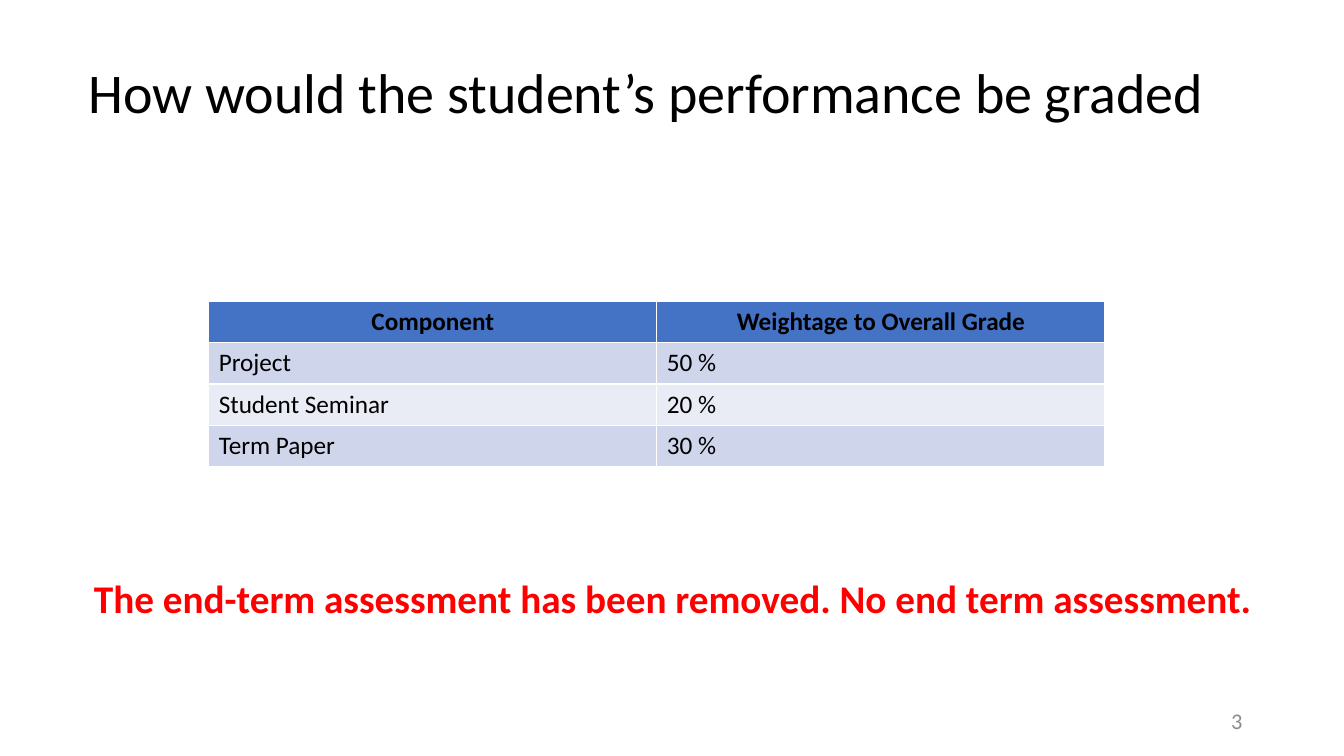
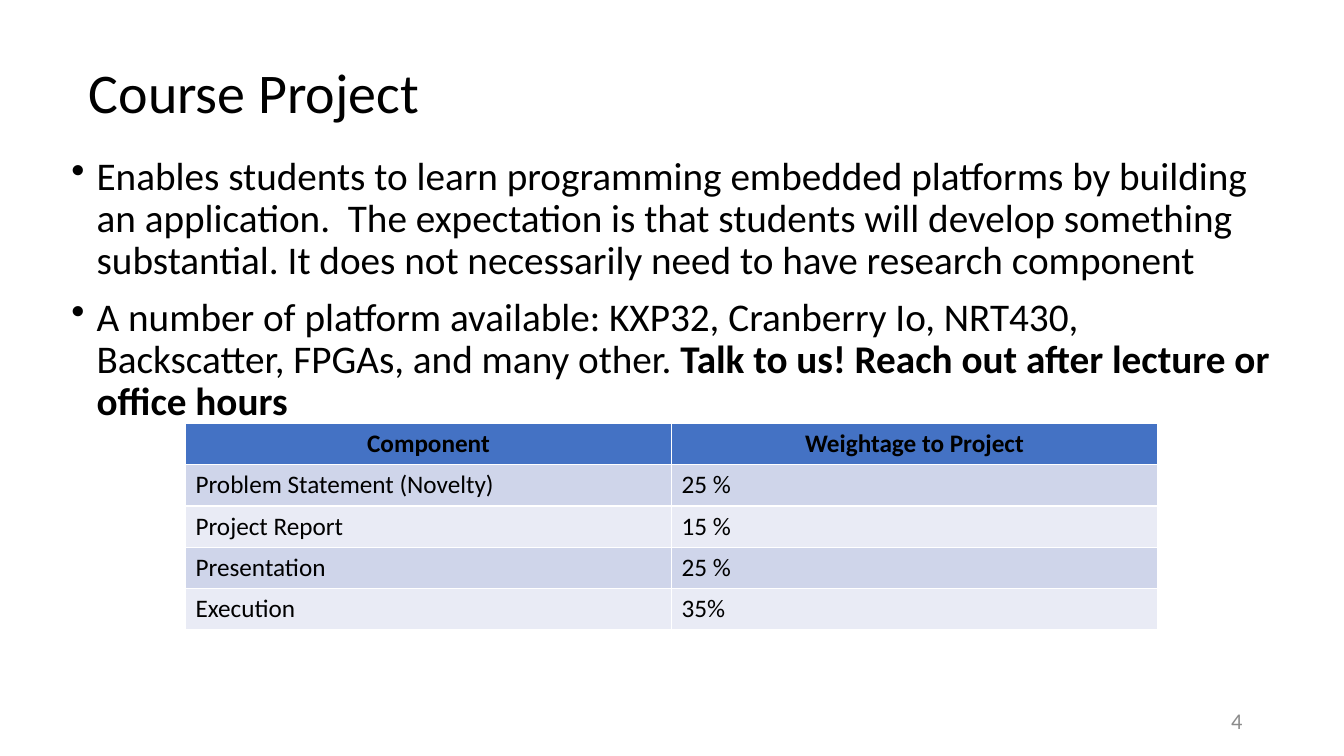
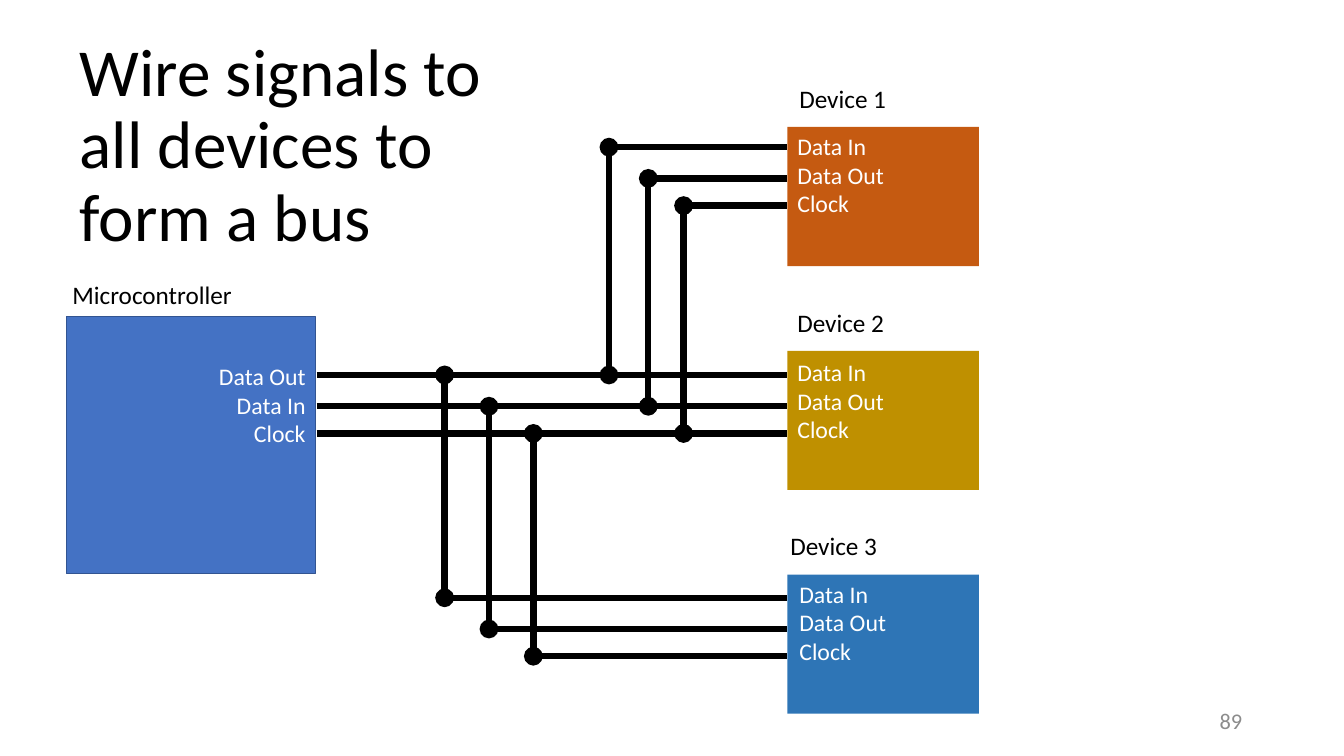
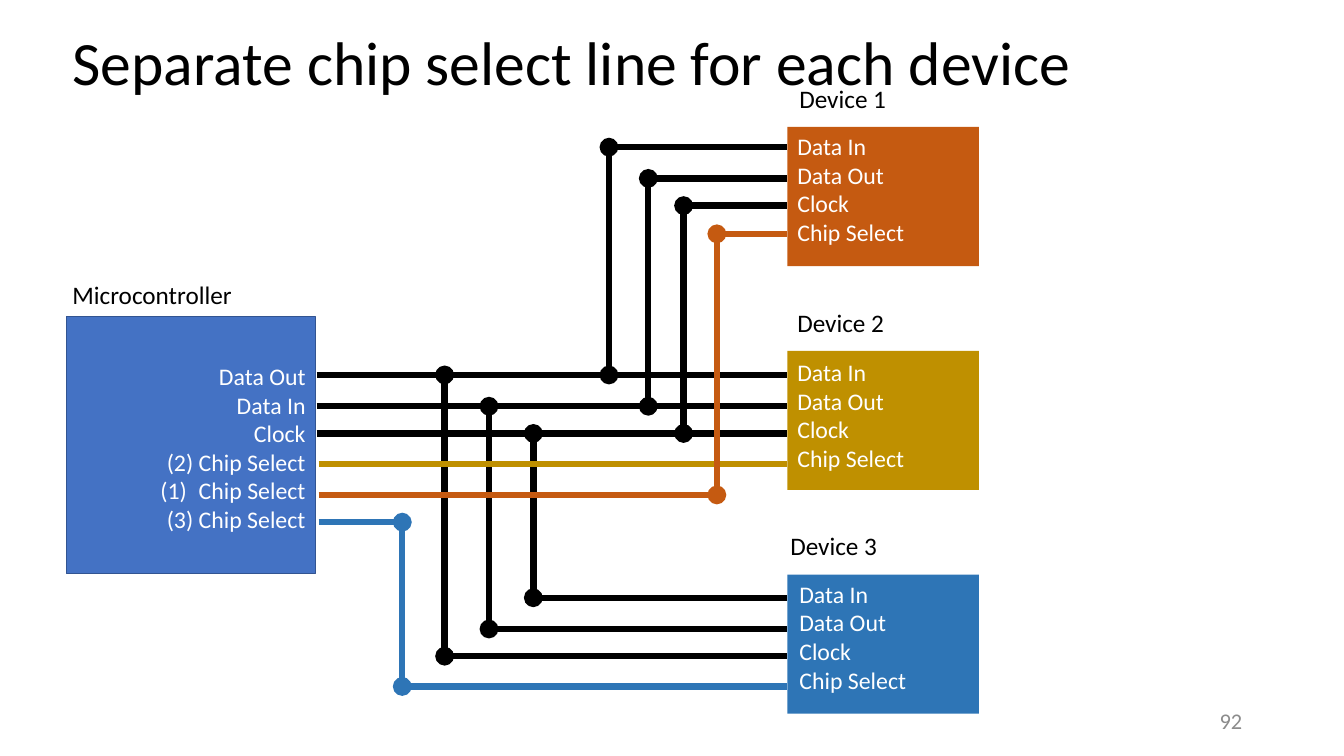
from lxml.etree import SubElement
from pptx import Presentation
from pptx.dml.color import RGBColor
from pptx.enum.shapes import MSO_CONNECTOR, MSO_SHAPE
from pptx.enum.text import MSO_ANCHOR, MSO_AUTO_SIZE, PP_ALIGN
from pptx.oxml.ns import qn
from pptx.util import Inches, Pt

FONT = "Calibri"
COLOURS = {
    "text": "000000", "page": "8C8C8C", "alert": "FF0000", "white": "FFFFFF",
    "blue": "4472C4", "edge": "325491", "band": "CFD5EA", "pale": "E9EBF5",
    "orange": "C55A11", "gold": "BF9000", "azure": "2E75B6",
}
TITLE_AREA = (0.78, 0.22, 11.78, 1.45)
BODY_LEFT, BODY_WIDTH = 0.61, 12.12
ROW_HEIGHT = 0.41

GRADING = [
    ("Component", "Weightage to Overall Grade"),
    ("Project", "50 %"),
    ("Student Seminar", "20 %"),
    ("Term Paper", "30 %"),
]
NOTICE = [("The end-term assessment has been removed. No end term assessment.", True)]
PROJECT = [
    ("Component", "Weightage to Project"),
    ("Problem Statement (Novelty)", "25 %"),
    ("Project Report", "15 %"),
    ("Presentation", "25 %"),
    ("Execution", "35%"),
]
PROJECT_POINTS = [
    [("Enables students to learn programming embedded platforms by building an application.  "
      "The expectation is that students will develop something substantial. "
      "It does not necessarily need to have research component", False)],
    [("A number of platform available: KXP32, Cranberry Io, NRT430, Backscatter, FPGAs, "
      "and many other. ", False),
     ("Talk to us! Reach out after lecture or office hours", True)],
]

CONTROLLER = (0.66, 3.14, 2.47, 2.55)
CONTROLLER_PINS = ["Data Out", "Data In", "Clock"]
DEVICE_PINS = ["Data In", "Data Out", "Clock"]
DEVICE_LEFT, DEVICE_WIDTH, DEVICE_HEIGHT = 7.81, 1.9, 1.38
DEVICES = [
    {"name": "Device 1", "fill": "orange", "top": 1.26, "label": (7.83, 0.78), "pins": (7.81, 1.26)},
    {"name": "Device 2", "fill": "gold", "top": 3.48, "label": (7.81, 3.0), "pins": (7.81, 3.5)},
    {"name": "Device 3", "fill": "azure", "top": 5.7, "label": (7.74, 5.21), "pins": (7.83, 5.7)},
]
BUS_LEFT = 3.14
BUS_ROWS = [3.72, 4.03, 4.3]
UP_COLUMNS = [6.04, 6.43, 6.78]
DOWN_COLUMNS = [4.41, 4.85, 5.29]
UP_ROWS = [row - 2.26 for row in BUS_ROWS]
DOWN_ROWS = [row + 2.21 for row in BUS_ROWS]
SELECT_LEFT = 3.16
SELECT_ROWS = [row + 0.88 for row in BUS_ROWS]
SELECT_RISERS = [
    ("orange", 7.11, SELECT_ROWS[1], 2.32),
    ("azure", 3.99, SELECT_ROWS[2], 6.81),
]


def colour(name):
    return RGBColor.from_string(COLOURS[name])


def add_span(para, text, size, tint="text", bold=False):
    span = para.add_run()
    span.text = text
    span.font.name = FONT
    span.font.size = Pt(size)
    span.font.bold = bold
    span.font.color.rgb = colour(tint)


def add_box(page, area, paragraphs, size, tint="text", align=PP_ALIGN.LEFT,
            anchor=MSO_ANCHOR.TOP, spacing=1.0, before=0):
    frame = page.shapes.add_textbox(*map(Inches, area)).text_frame
    frame.word_wrap = True
    frame.vertical_anchor = anchor
    for index, spans in enumerate(paragraphs):
        para = frame.add_paragraph() if index else frame.paragraphs[0]
        para.alignment = align
        para.line_spacing = spacing
        if index and before:
            para.space_before = Pt(before)
        for text, bold in spans:
            add_span(para, text, size, tint, bold)
    return frame


def plain(lines):
    return [[(line, False)] for line in lines]


def add_bullet(para, indent, kind, **settings):
    properties = para._p.get_or_add_pPr()
    properties.set("marL", str(Inches(indent)))
    properties.set("indent", str(-Inches(indent)))
    SubElement(properties, qn(f"a:{kind}"), settings)


def add_page(deck, title, number, area=TITLE_AREA, size=40):
    page = deck.slides.add_slide(deck.slide_layouts[5])
    heading = page.shapes.title
    heading.left, heading.top, heading.width, heading.height = map(Inches, area)
    frame = heading.text_frame
    frame.word_wrap = True
    frame.auto_size = MSO_AUTO_SIZE.NONE
    frame.vertical_anchor = MSO_ANCHOR.MIDDLE
    para = frame.paragraphs[0]
    para.alignment = PP_ALIGN.LEFT
    para.line_spacing = 0.9
    add_span(para, title, size)
    add_box(page, (9.42, 6.95, 3, 0.4), plain([number]), 16, "page",
            PP_ALIGN.RIGHT, MSO_ANCHOR.MIDDLE)
    return page


def add_weights(page, left, top, width, rows):
    columns = len(rows[0])
    table = page.shapes.add_table(len(rows), columns, Inches(left), Inches(top), Inches(width),
                                  Inches(ROW_HEIGHT * len(rows))).table
    for row, values in enumerate(rows):
        for column, value in enumerate(values):
            cell = table.cell(row, column)
            cell.fill.solid()
            cell.fill.fore_color.rgb = colour(("pale", "band")[row % 2] if row else "blue")
            para = cell.text_frame.paragraphs[0]
            para.alignment = PP_ALIGN.LEFT if row else PP_ALIGN.CENTER
            add_span(para, value, 18, bold=row == 0)


def add_block(page, area, fill, edge=None):
    block = page.shapes.add_shape(MSO_SHAPE.RECTANGLE, *map(Inches, area))
    block.shadow.inherit = False
    block.fill.solid()
    block.fill.fore_color.rgb = colour(fill)
    if edge:
        block.line.color.rgb = colour(edge)
        block.line.width = Pt(1)
    else:
        block.line.fill.background()


def add_wire(page, start, end, tint="text", dots=False):
    wire = page.shapes.add_connector(MSO_CONNECTOR.STRAIGHT, *map(Inches, start + end))
    wire.line.color.rgb = colour(tint)
    wire.line.width = Pt(4.5)
    if dots:
        for tip in ("headEnd", "tailEnd"):
            SubElement(wire.line._get_or_add_ln(), qn(f"a:{tip}"), type="oval")
    SubElement(wire._element.spPr, qn("a:effectLst"))


def add_riser(page, column, bus_row, pin_row, tint="text"):
    add_wire(page, (column, pin_row), (DEVICE_LEFT, pin_row), tint)
    add_wire(page, (column, bus_row), (column, pin_row), tint, dots=True)


def add_bus(page, down_rows, extra_pins=(), extra_select=()):
    add_block(page, CONTROLLER, "blue", "edge")
    for device in DEVICES:
        add_block(page, (DEVICE_LEFT, device["top"], DEVICE_WIDTH, DEVICE_HEIGHT), device["fill"])
        add_box(page, (*device["label"], DEVICE_WIDTH, 0.4), plain([device["name"]]), 18)
        add_box(page, (*device["pins"], DEVICE_WIDTH, 1.25),
                plain([*DEVICE_PINS, *extra_select]), 17, "white")
    add_box(page, (0.62, 2.72, 2.47, 0.4), plain(["Microcontroller"]), 18)
    pins = add_box(page, (0.86, 3.54, 2.27, 1.82), plain([*CONTROLLER_PINS, *extra_pins]),
                   17, "white", PP_ALIGN.RIGHT)
    for row in BUS_ROWS:
        add_wire(page, (BUS_LEFT, row), (DEVICE_LEFT, row))
    for columns, rows in ((UP_COLUMNS, UP_ROWS), (DOWN_COLUMNS, down_rows)):
        for column, bus_row, pin_row in zip(columns, BUS_ROWS, rows):
            add_riser(page, column, bus_row, pin_row)
    return pins


def build_grading(deck):
    page = add_page(deck, "How would the student’s performance be graded", "3")
    add_weights(page, 2.07, 2.99, 8.89, GRADING)
    add_box(page, (BODY_LEFT, 5.7, BODY_WIDTH, 1.25), [NOTICE], 28, "alert",
            PP_ALIGN.CENTER, spacing=0.9)


def build_project(deck):
    page = add_page(deck, "Course Project", "4")
    add_weights(page, 1.84, 4.2, 9.64, PROJECT)
    points = add_box(page, (BODY_LEFT, 1.5, BODY_WIDTH, 2.7), PROJECT_POINTS, 28,
                     spacing=0.9, before=10)
    for para in points.paragraphs:
        add_bullet(para, 0.25, "buChar", char="•")


def build_shared_bus(deck):
    page = add_page(deck, "Wire signals to all devices to form a bus", "89",
                    (0.69, 0.45, 4.68, 2.02), 48)
    add_bus(page, DOWN_ROWS)


def build_chip_select(deck):
    page = add_page(deck, "Separate chip select line for each device", "92",
                    (0.62, -0.07, 11.5, 1.45), 44)
    pins = add_bus(page, DOWN_ROWS[::-1],
                   ["(2) Chip Select", "Chip Select", "(3) Chip Select"], ["Chip Select"])
    add_bullet(pins.paragraphs[4], 0.38, "buAutoNum", type="arabicParenBoth")
    add_wire(page, (SELECT_LEFT, SELECT_ROWS[0]), (DEVICE_LEFT, SELECT_ROWS[0]), "gold")
    for tint, column, bus_row, pin_row in SELECT_RISERS:
        add_wire(page, (SELECT_LEFT, bus_row), (column, bus_row), tint)
        add_riser(page, column, bus_row, pin_row, tint)


def main():
    deck = Presentation()
    deck.slide_width, deck.slide_height = Inches(13.33), Inches(7.5)
    for build in (build_grading, build_project, build_shared_bus, build_chip_select):
        build(deck)
    deck.save("out.pptx")


if __name__ == "__main__":
    main()
